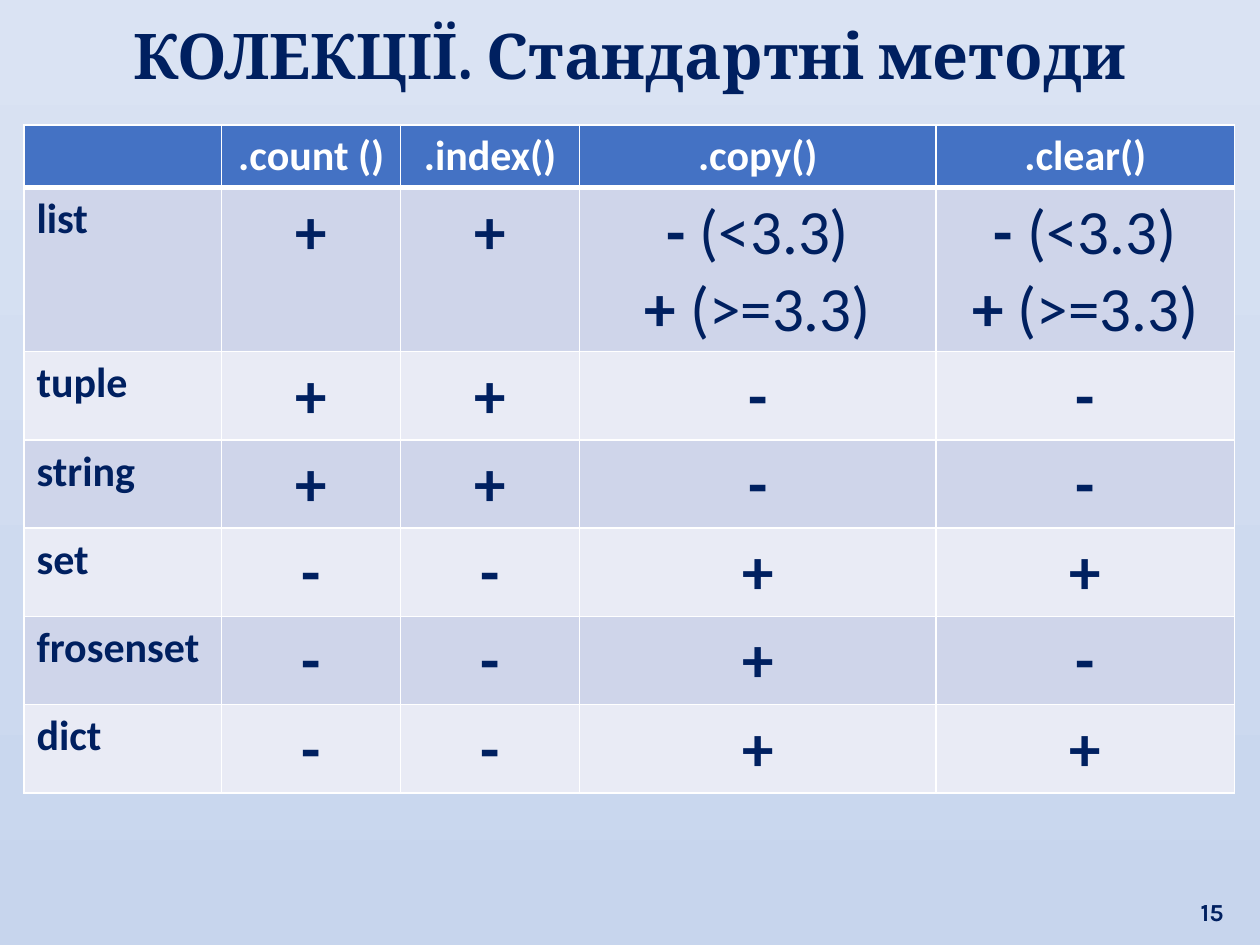
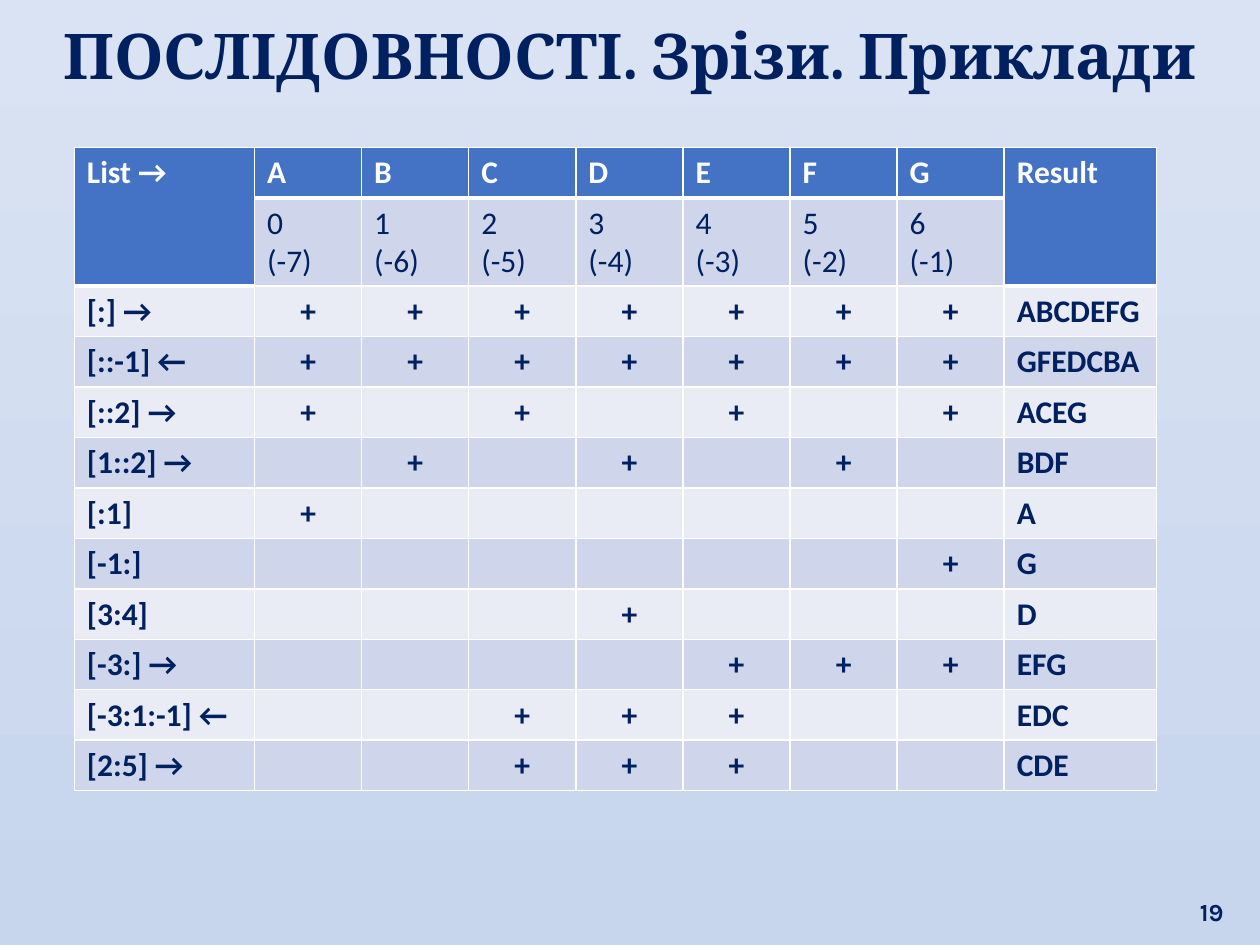
from lxml.etree import SubElement
from pptx import Presentation
from pptx.dml.color import RGBColor
from pptx.enum.text import MSO_ANCHOR, MSO_AUTO_SIZE, PP_ALIGN
from pptx.oxml.ns import qn
from pptx.util import Inches, Pt

# Content: methods of the collections
METHODS = {
    "title": "КОЛЕКЦІЇ. Стандартні методи",
    "page": "15",
    "heads": [".сount ()", ".index()", ".copy()", ".clear()"],
    "rows": [
        ("list", "++vv"),
        ("tuple", "++--"),
        ("string", "++--"),
        ("set", "--++"),
        ("frosenset", "--+-"),
        ("dict", "--++"),
    ],
}
# A mark of "v" depends on the version
VERSION = [[("- ", True), ("(<3.3)", False)], [("+ ", True), ("(>=3.3)", False)]]

# Content: slices of a list, each with its result
SLICES = {
    "title": "ПОСЛІДОВНОСТІ. Зрізи. Приклади",
    "page": "19",
    "items": "ABCDEFG",
    "rows": [
        ("[:] →", "ABCDEFG"),
        ("[::-1] ←", "GFEDCBA"),
        ("[::2] →", "ACEG"),
        ("[1::2] →", "BDF"),
        ("[:1]", "A"),
        ("[-1:]", "G"),
        ("[3:4]", "D"),
        ("[-3:] →", "EFG"),
        ("[-3:1:-1] ←", "EDC"),
        ("[2:5] →", "CDE"),
    ],
}

# Shared look
NAVY = RGBColor(0x00, 0x20, 0x60)
WHITE = RGBColor(0xFF, 0xFF, 0xFF)
BLUE = RGBColor(0x44, 0x72, 0xC4)
BANDS = [RGBColor(0xE9, 0xEB, 0xF5), RGBColor(0xCF, 0xD5, 0xEA)]
SKY = [RGBColor(0xDA, 0xE3, 0xF3), RGBColor(0xC7, 0xD5, 0xED)]
LEFT, MID, RIGHT = PP_ALIGN.LEFT, PP_ALIGN.CENTER, PP_ALIGN.RIGHT


def place(part, left, top, width, height):
    part.left, part.top = Inches(left), Inches(top)
    part.width, part.height = Inches(width), Inches(height)


def write(frame, paras, size, color, align=LEFT, face="Calibri"):
    """Write paragraphs, each a list of (text, bold) runs."""
    for i, runs in enumerate(paras):
        para = frame.add_paragraph() if i else frame.paragraphs[0]
        para.alignment = align
        for text, bold in runs:
            run = para.add_run()
            run.text = text
            font = run.font
            font.name, font.size, font.bold = face, Pt(size), bold
            font.color.rgb = color


def plain(*lines, bold=True):
    return [[(line, bold)] for line in lines]


def rule(cell, top, bottom):
    """Draw white borders with the given top and bottom widths."""
    props = cell._tc.get_or_add_tcPr()
    for tag, width in (("lnL", 1), ("lnR", 1), ("lnT", top), ("lnB", bottom)):
        line = SubElement(props, qn("a:" + tag), w=str(Pt(width)))
        fill = SubElement(line, qn("a:solidFill"))
        SubElement(fill, qn("a:srgbClr"), val=str(WHITE))


def add_page(deck, data):
    slide = deck.slides.add_slide(deck.slide_layouts[5])
    title = slide.shapes.title
    place(title, 0.12, 0.08, 9.76, 0.71)
    frame = title.text_frame
    frame.auto_size = MSO_AUTO_SIZE.SHAPE_TO_FIT_TEXT
    frame.vertical_anchor = MSO_ANCHOR.TOP
    write(frame, plain(data["title"]), 36, NAVY, MID, "Cambria")
    box = slide.shapes.add_textbox(*map(Inches, (9.33, 6.9, 0.48, 0.5)))
    box.text_frame.word_wrap = True
    box.text_frame.vertical_anchor = MSO_ANCHOR.BOTTOM
    write(box.text_frame, plain(data["page"]), 14, NAVY, RIGHT, "Karla")
    return slide


def add_grid(slide, left, top, cols, rows, heads):
    """Add a styled table; heads tells if a cell is a header."""
    frame = slide.shapes.add_table(len(rows), len(cols), Inches(left), Inches(top),
                                   Inches(sum(cols)), Inches(sum(rows)))
    grid = frame.table
    for col, width in zip(grid.columns, cols):
        col.width = Inches(width)
    for row, height in zip(grid.rows, rows):
        row.height = Inches(height)
    for r in range(len(rows)):
        for c in range(len(cols)):
            cell, head = grid.cell(r, c), heads(r, c)
            under = r > 0 and not head and heads(r - 1, c)
            rule(cell, 3 if under else 1, 3 if head else 1)
            cell.fill.solid()
            cell.fill.fore_color.rgb = BLUE if head else BANDS[r % 2]
    return grid


def add_methods(deck):
    slide = add_page(deck, METHODS)
    rows = METHODS["rows"]
    grid = add_grid(slide, 0.19, 0.99, [1.57, 1.42, 1.42, 2.83, 2.37],
                    [0.5, 1.3] + [0.7] * (len(rows) - 1), lambda r, c: r == 0)
    for c, name in enumerate(METHODS["heads"], 1):
        write(grid.cell(0, c).text_frame, plain(name), 24, WHITE, MID)
    for r, (kind, marks) in enumerate(rows, 1):
        write(grid.cell(r, 0).text_frame, plain(kind), 24, NAVY)
        for c, mark in enumerate(marks, 1):
            paras = VERSION if mark == "v" else plain(mark)
            write(grid.cell(r, c).text_frame, paras, 36, NAVY, MID)


def add_slices(deck):
    slide = add_page(deck, SLICES)
    items, rows = SLICES["items"], SLICES["rows"]
    count = len(items)
    last = count + 1
    grid = add_grid(slide, 0.59, 1.17, [1.43] + [0.85] * count + [1.21],
                    [0.4, 0.7] + [0.4] * len(rows),
                    lambda r, c: r == 0 or (r == 1 and c in (0, last)))
    # Header: the outer cells span the letters and their indexes
    for c, name in ((0, "List →"), (last, "Result")):
        grid.cell(0, c).merge(grid.cell(1, c))
        write(grid.cell(0, c).text_frame, plain(name), 18, WHITE)
    for i, item in enumerate(items):
        write(grid.cell(0, i + 1).text_frame, plain(item), 18, WHITE)
        index = plain(str(i), f"({i - count})", bold=False)
        write(grid.cell(1, i + 1).text_frame, index, 18, NAVY)
    # A plus marks each letter that the slice takes
    for r, (code, result) in enumerate(rows, 2):
        write(grid.cell(r, 0).text_frame, plain(code), 18, NAVY)
        write(grid.cell(r, last).text_frame, plain(result), 18, NAVY)
        for c, item in enumerate(items, 1):
            if item in result:
                write(grid.cell(r, c).text_frame, plain("+"), 18, NAVY, MID)


def main():
    deck = Presentation()
    deck.slide_width, deck.slide_height = Inches(10), Inches(7.5)
    # Shared background
    fill = deck.slide_master.background.fill
    fill.gradient()
    fill.gradient_angle = 270
    for stop, color, share in zip(fill.gradient_stops, SKY, (0, 1)):
        stop.color.rgb, stop.position = color, share
    add_methods(deck)
    add_slices(deck)
    deck.save("out.pptx")


if __name__ == "__main__":
    main()
